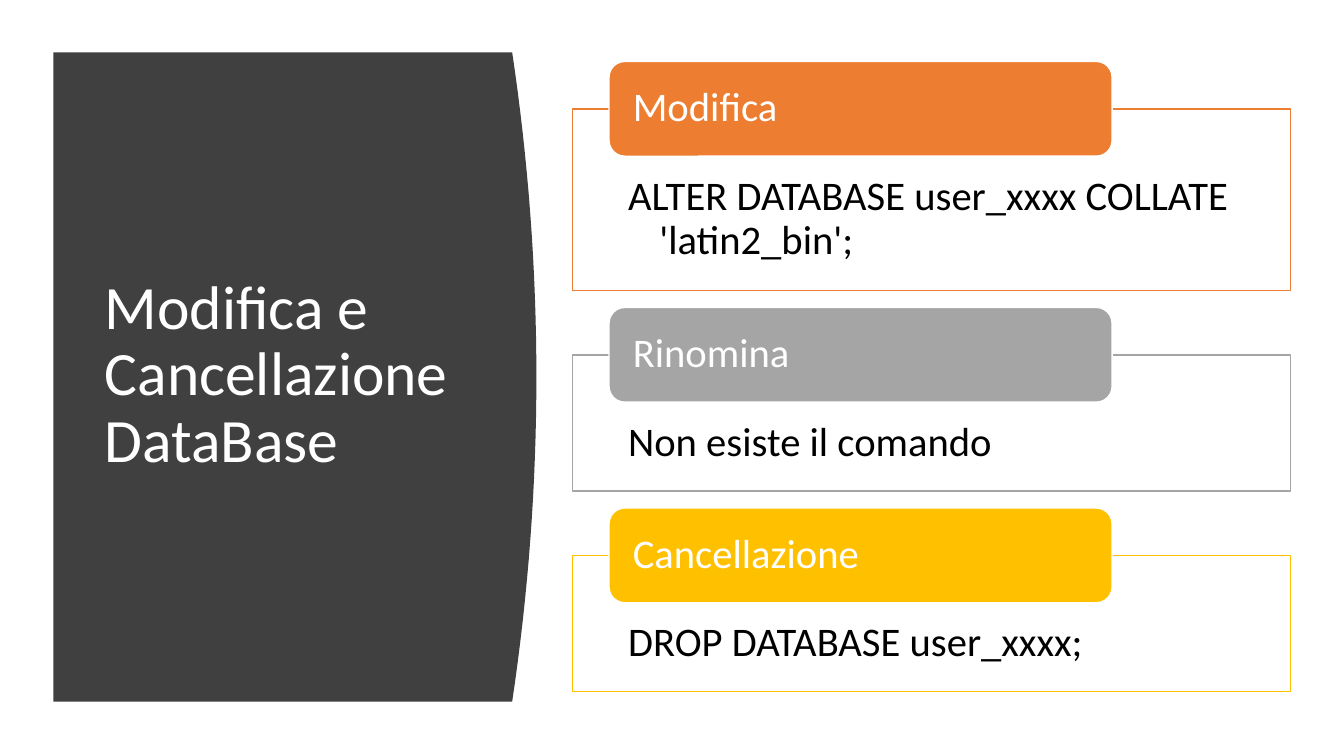
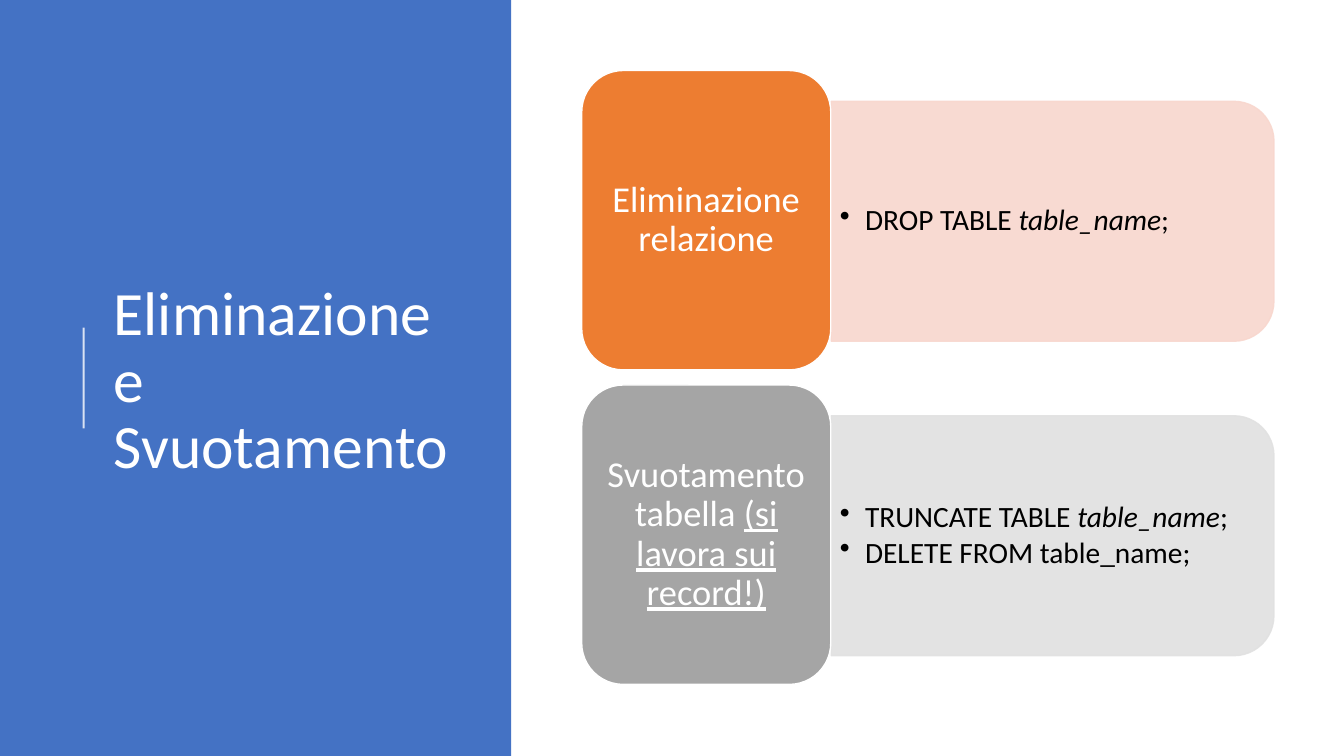
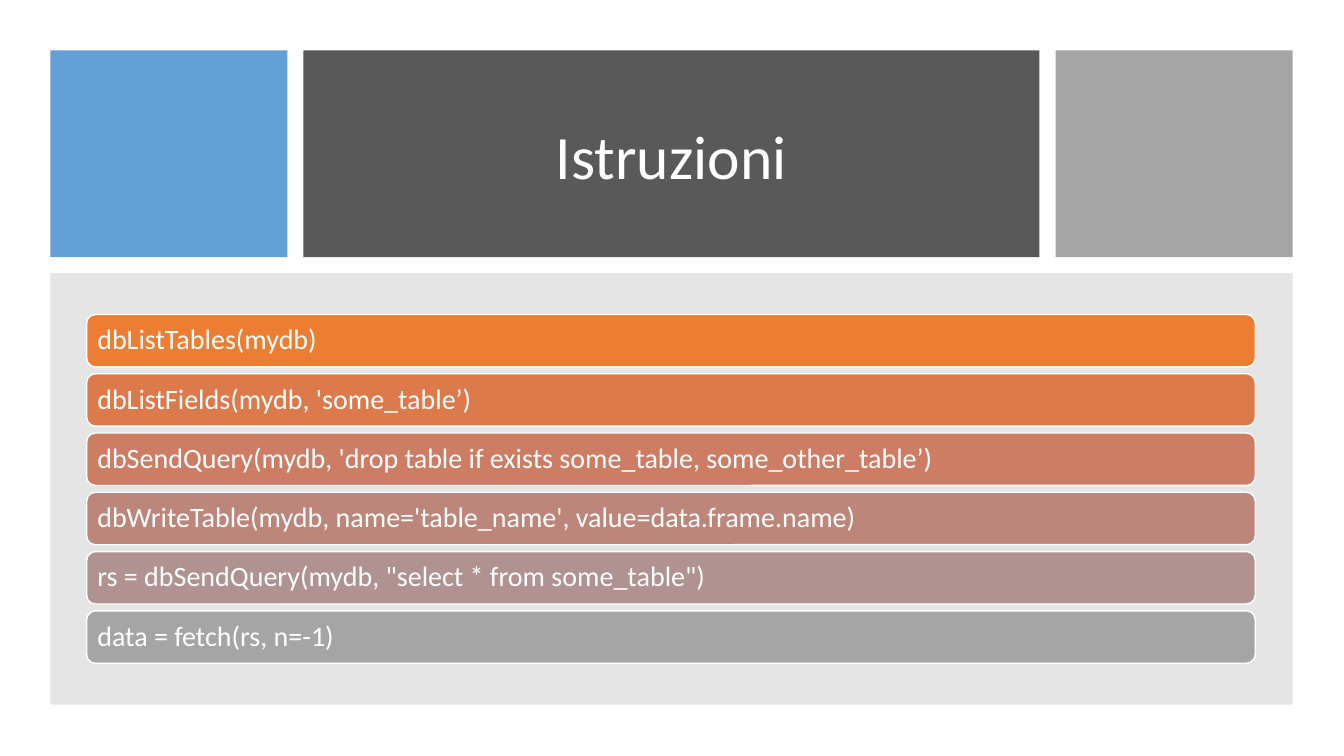
from typing import NamedTuple, Optional, Sequence

import pptx
import pptx.dml.color
import pptx.enum.shapes
import pptx.enum.text
import pptx.oxml
import pptx.oxml.ns
import pptx.util

Inches = pptx.util.Inches
Pt = pptx.util.Pt
RGBColor = pptx.dml.color.RGBColor
SHAPE = pptx.enum.shapes.MSO_SHAPE
ALIGN = pptx.enum.text.PP_ALIGN
ANCHOR = pptx.enum.text.MSO_ANCHOR

FONT = "Calibri"
WHITE = RGBColor(0xFF, 0xFF, 0xFF)
BLACK = RGBColor(0x00, 0x00, 0x00)
CHARCOAL = RGBColor(0x40, 0x40, 0x40)
DARK_GRAY = RGBColor(0x59, 0x59, 0x59)
MID_GRAY = RGBColor(0x80, 0x80, 0x80)
GRAY = RGBColor(0xA5, 0xA5, 0xA5)
PALE_GRAY = RGBColor(0xE1, 0xE1, 0xE1)
ORANGE = RGBColor(0xED, 0x7D, 0x31)
PALE_ORANGE = RGBColor(0xF8, 0xD7, 0xCE)
GOLD = RGBColor(0xFF, 0xC0, 0x00)
BLUE = RGBColor(0x44, 0x72, 0xC4)
SKY_BLUE = RGBColor(0x5B, 0x9B, 0xD5)
ORANGE_TO_GRAY = (
    ORANGE,
    RGBColor(0xDC, 0x7A, 0x4B),
    RGBColor(0xCC, 0x7D, 0x64),
    RGBColor(0xBD, 0x86, 0x7B),
    RGBColor(0xB0, 0x93, 0x91),
    GRAY,
)


class Box(NamedTuple):
    """Left, top, width and height in inches."""
    left: float
    top: float
    width: float
    height: float

    def emu(self) -> list:
        return [Inches(v) for v in self]


class Run(NamedTuple):
    text: str
    italic: bool = False
    underline: bool = False


class Panel(NamedTuple):
    heading: str
    body: str
    height: float
    color: RGBColor


class Card(NamedTuple):
    label: Sequence[Run]
    commands: Sequence[Sequence[Run]]
    color: RGBColor
    pale: RGBColor


PANELS = (
    Panel("Modifica", "ALTER DATABASE user_xxxx COLLATE 'latin2_bin';", 1.8, ORANGE),
    Panel("Rinomina", "Non esiste il comando", 1.35, GRAY),
    Panel("Cancellazione", "DROP DATABASE user_xxxx;", 1.35, GOLD),
)
TABLE_NAME = Run("table_name", italic=True)
CARDS = (
    Card([Run("Eliminazione relazione")],
         [[Run("DROP TABLE "), TABLE_NAME, Run(";")]],
         ORANGE, PALE_ORANGE),
    Card([Run("Svuotamento tabella "), Run("(si lavora sui record!)", underline=True)],
         [[Run("TRUNCATE TABLE "), TABLE_NAME, Run(";")],
          [Run("DELETE FROM table_name;")]],
         GRAY, PALE_GRAY),
)
INSTRUCTIONS = (
    "dbListTables(mydb)",
    "dbListFields(mydb, 'some_table’)",
    "dbSendQuery(mydb, 'drop table if exists some_table, some_other_table’)",
    "dbWriteTable(mydb, name='table_name', value=data.frame.name)",
    'rs = dbSendQuery(mydb, "select * from some_table")',
    "data = fetch(rs, n=-1)",
)


def set_opacity(owner, percent: int) -> None:
    """Set the opacity of the first solid colour below an XML element."""
    color = next(owner.iter(pptx.oxml.ns.qn("a:srgbClr")))
    alpha = pptx.oxml.parse_xml(
        f'<a:alpha {pptx.oxml.ns.nsdecls("a")} val="{percent * 1000}"/>')
    color.append(alpha)


def paint(s, fill: RGBColor, line: Optional[RGBColor] = None,
          opacity: int = 100, line_opacity: int = 100) -> None:
    s.shadow.inherit = False
    s.fill.solid()
    s.fill.fore_color.rgb = fill
    if opacity < 100:
        set_opacity(s.fill._xPr, opacity)
    if line is None:
        s.line.fill.background()
        return
    s.line.color.rgb = line
    s.line.width = Pt(1)
    if line_opacity < 100:
        set_opacity(s.line._ln, line_opacity)


def add_box(slide, box: Box, fill: RGBColor, kind=SHAPE.RECTANGLE, **format):
    s = slide.shapes.add_shape(kind, *box.emu())
    paint(s, fill, **format)
    return s


def write(s, paragraphs: Sequence[Sequence[Run]], *, size: float,
          color: RGBColor = WHITE, align=ALIGN.LEFT, anchor=ANCHOR.MIDDLE,
          insets: Sequence[float] = (0.1, 0.05, 0.1, 0.05),
          hanging: float = 0, bullet: str = "", gap: float = 0) -> None:
    """Fill a shape with formatted text; insets are left, top, right, bottom."""
    tf = s.text_frame
    tf.word_wrap = True
    tf.vertical_anchor = anchor
    (tf.margin_left, tf.margin_top,
     tf.margin_right, tf.margin_bottom) = [Inches(v) for v in insets]
    for i, runs in enumerate(paragraphs):
        p = tf.add_paragraph() if i else tf.paragraphs[0]
        p.alignment = align
        p.line_spacing = 0.9
        if i and gap:
            p.space_before = Pt(gap)
        if hanging:
            pPr = p._p.get_or_add_pPr()
            pPr.set("marL", str(Inches(hanging)))
            pPr.set("indent", str(-Inches(hanging)))
            if bullet:
                pPr.append(pptx.oxml.parse_xml(
                    f'<a:buChar {pptx.oxml.ns.nsdecls("a")} char="{bullet}"/>'))
        for run in runs:
            r = p.add_run()
            r.text = run.text
            r.font.name = FONT
            r.font.size = Pt(size)
            r.font.color.rgb = color
            r.font.italic = run.italic
            r.font.underline = run.underline


def add_title(slide, text: str, box: Box, align=ALIGN.LEFT) -> None:
    write(slide.shapes.add_textbox(*box.emu()), [[Run(text)]], size=44, align=align)


def add_curved_band(slide) -> None:
    """Draw the dark band whose right edge bulges along a parabola."""
    left, right, top, bottom = 0.53, 5.08, 0.52, 6.96
    bulge, steps = 0.24, 32
    edge = []
    for i in range(steps + 1):
        t = i / steps
        x = right + bulge * (1 - (2 * t - 1) ** 2)
        edge.append((Inches(x), Inches(top + t * (bottom - top))))
    builder = slide.shapes.build_freeform(Inches(left), Inches(top))
    builder.add_line_segments(edge + [(Inches(left), Inches(bottom))], close=True)
    paint(builder.convert_to_shape(), CHARCOAL)


def build_database_slide(slide) -> None:
    add_curved_band(slide)
    add_title(slide, "Modifica e Cancellazione DataBase", Box(0.94, 1.11, 3.74, 5.24))
    top, gap, heading_height = 1.08, 0.64, 0.94
    for panel in PANELS:
        s = add_box(slide, Box(5.68, top, 7.12, panel.height), WHITE,
                    line=panel.color, opacity=90)
        write(s, [[Run(panel.body)]], size=29, color=BLACK, anchor=ANCHOR.TOP,
              insets=(0.55, 0.66, 0.55, 0.23), hanging=0.31)
        s = add_box(slide, Box(6.04, top - heading_height / 2, 4.99, heading_height),
                    panel.color, SHAPE.ROUNDED_RECTANGLE, line=WHITE)
        write(s, [[Run(panel.heading)]], size=29, insets=(0.19, 0, 0.19, 0))
        top += panel.height + gap


def add_title_rule(slide) -> None:
    rule = slide.shapes.add_connector(
        pptx.enum.shapes.MSO_CONNECTOR.STRAIGHT,
        Inches(0.83), Inches(4.25), Inches(0.83), Inches(3.25))
    rule.line.color.rgb = WHITE
    rule.line.width = Pt(1.5)
    set_opacity(rule.line._ln, 80)
    rule._element.spPr.append(
        pptx.oxml.parse_xml(f'<a:effectLst {pptx.oxml.ns.nsdecls("a")}/>'))


def build_table_slide(slide) -> None:
    add_box(slide, Box(0, 0, 5.07, 7.5), BLUE)
    add_title(slide, "Eliminazione e Svuotamento", Box(1.03, 0.78, 3.69, 6.02))
    add_title_rule(slide)
    for i, card in enumerate(CARDS):
        offset = 3.12 * i
        s = add_box(slide, Box(9.25, offset, 2.38, 4.39), card.pale,
                    SHAPE.ROUND_2_SAME_RECTANGLE, line=card.pale,
                    opacity=90, line_opacity=90)
        s.rotation = 90
        commands = slide.shapes.add_textbox(*Box(8.24, 1.12 + offset, 4.27, 2.15).emu())
        write(commands, card.commands, size=21, color=BLACK,
              insets=(0.09, 0.04, 0.09, 0.04), hanging=0.25, bullet="•", gap=3)
        s = add_box(slide, Box(5.77, 0.7 + offset, 2.47, 2.97), card.color,
                    SHAPE.ROUNDED_RECTANGLE, line=WHITE)
        write(s, [card.label], size=26, align=ALIGN.CENTER,
              insets=(0.11, 0.05, 0.11, 0.05))


def build_instruction_slide(slide) -> None:
    add_box(slide, Box(0.5, 0.5, 2.35, 2.05), SKY_BLUE, opacity=95)
    add_box(slide, Box(3.01, 0.5, 7.3, 2.05), DARK_GRAY)
    add_title(slide, "Istruzioni", Box(3.33, 0.8, 6.66, 1.56), ALIGN.CENTER)
    add_box(slide, Box(10.47, 0.5, 2.35, 2.05), GRAY)
    add_box(slide, Box(0.5, 2.71, 12.32, 4.28), MID_GRAY, opacity=20)
    first, last = 3.12, 6.06
    step = (last - first) / (len(INSTRUCTIONS) - 1)
    for i, (code, color) in enumerate(zip(INSTRUCTIONS, ORANGE_TO_GRAY)):
        s = add_box(slide, Box(0.86, first + i * step, 11.59, 0.52), color,
                    SHAPE.ROUNDED_RECTANGLE, line=WHITE)
        write(s, [[Run(code)]], size=20, insets=(0.08, 0.08, 0.08, 0.08))


def main() -> None:
    prs = pptx.Presentation()
    prs.slide_width = Inches(13.33)
    prs.slide_height = Inches(7.5)
    blank = prs.slide_layouts[6]
    for build in (build_database_slide, build_table_slide, build_instruction_slide):
        build(prs.slides.add_slide(blank))
    prs.save("out.pptx")


if __name__ == "__main__":
    main()
